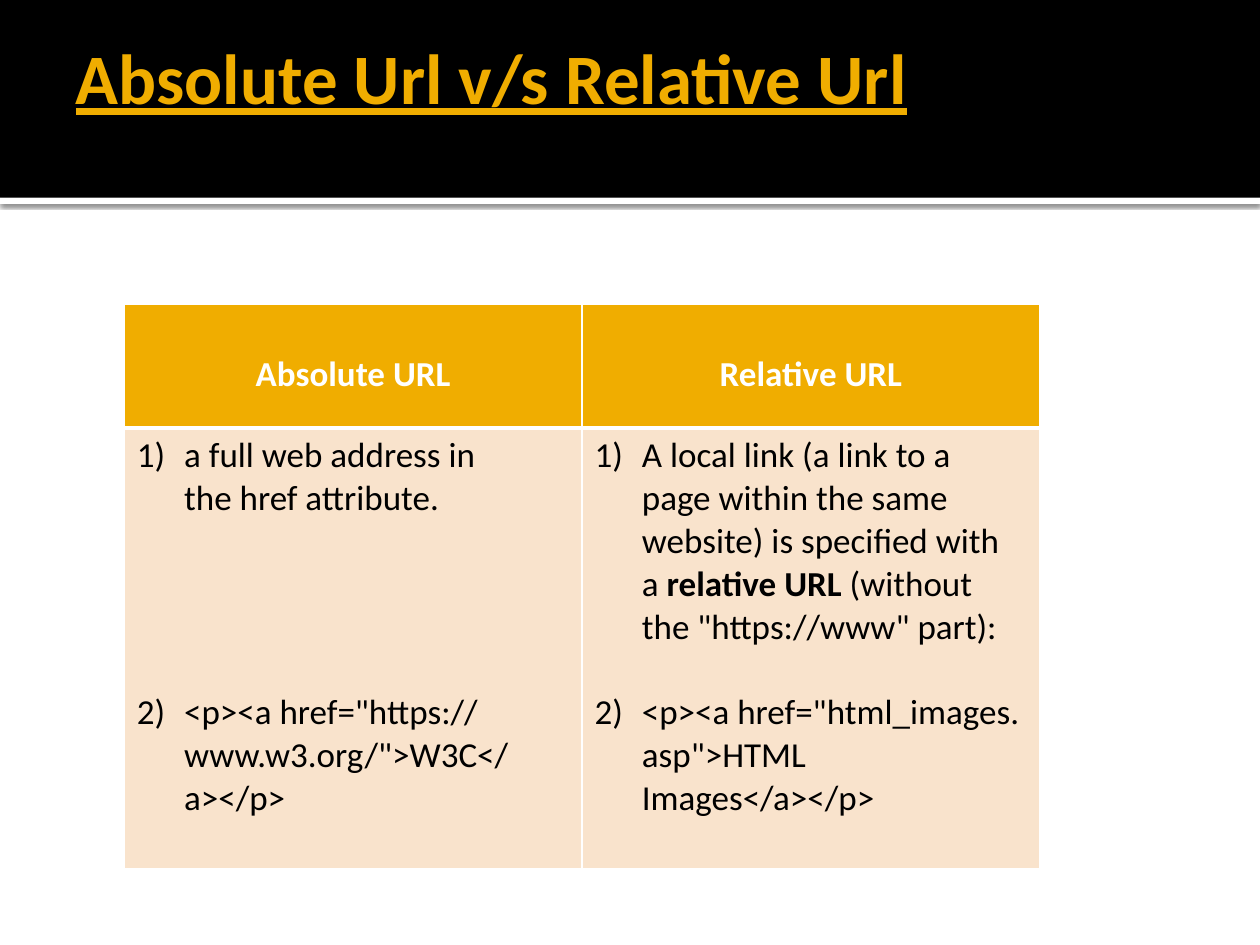
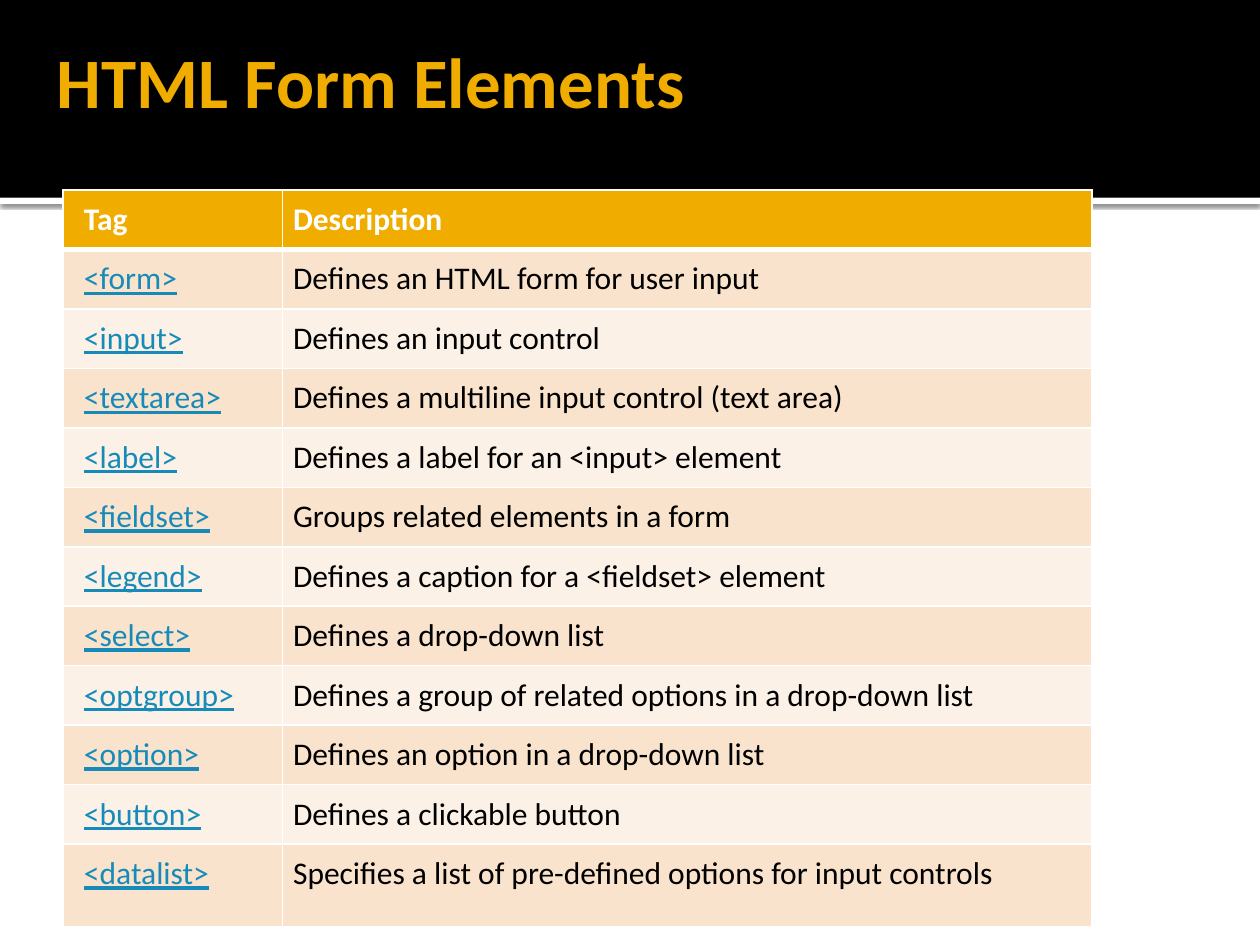
import pptx
import pptx.util
import pptx.dml.color
import pptx.enum.shapes
import pptx.enum.text
from dataclasses import dataclass
from lxml import etree
from pptx.oxml.ns import qn

Pt = pptx.util.Pt
NBSP = chr(160)

URL_TITLE = "Absolute Url v/s Relative Url"
URL_HEADINGS = ["Absolute URL", "Relative URL"]
URL_POINTS = [
    [
        [(f"a full web address in the{NBSP}href{NBSP}attribute.", False)],
        [(f'<p><a{NBSP}href="https://www.w3.org/">W3C</a></p>', False)],
    ],
    [
        [
            ("A local link (a link to a page within the same website) "
             f"is specified with a{NBSP}", False),
            ("relative URL", True),
            (f'{NBSP}(without the "https://www" part):', False),
        ],
        [(f'<p><a{NBSP}href="html_images.asp">HTML Images</a></p>', False)],
    ],
]
URL_POINT_GAPS = [98, 24.5]

FORM_TITLE = "HTML Form Elements"
FORM_HEADINGS = ("Tag", "Description")
FORM_ELEMENTS = [
    ("<form>", "Defines an HTML form for user input"),
    ("<input>", "Defines an input control"),
    ("<textarea>", "Defines a multiline input control (text area)"),
    ("<label>", "Defines a label for an <input> element"),
    ("<fieldset>", "Groups related elements in a form"),
    ("<legend>", "Defines a caption for a <fieldset> element"),
    ("<select>", "Defines a drop-down list"),
    ("<optgroup>", "Defines a group of related options in a drop-down list"),
    ("<option>", "Defines an option in a drop-down list"),
    ("<button>", "Defines a clickable button"),
    ("<datalist>", "Specifies a list of pre-defined options for input controls"),
]


@dataclass(frozen=True)
class Theme:
    font: str = "Calibri"
    gold: str = "F0AD00"
    black: str = "000000"
    white: str = "FFFFFF"
    link: str = "168BBA"
    bands: tuple = ("F9E3CC", "FCF1E7")
    title_size: float = 40.5
    url_size: float = 20
    form_size: float = 18
    rule: float = 1
    heading_rule: float = 3


THEME = Theme()
WIDTH, HEIGHT = 720, 540
BAND_HEIGHT, STRIP_HEIGHT = 113, 3.6


def rgb(value):
    return pptx.dml.color.RGBColor.from_string(value)


def add_text(paragraph, text, *, size, color=THEME.black, bold=False, underline=False):
    run = paragraph.add_run()
    run.text = text
    run.font.name = THEME.font
    run.font.size = Pt(size)
    run.font.color.rgb = rgb(color)
    run.font.bold = bold
    run.font.underline = underline


def add_band(slide, top, height, color):
    band = slide.shapes.add_shape(
        pptx.enum.shapes.MSO_SHAPE.RECTANGLE, 0, Pt(top), Pt(WIDTH), Pt(height))
    band.shadow.inherit = False
    band.fill.solid()
    band.fill.fore_color.rgb = rgb(color)
    band.line.fill.background()
    return band


def add_shadow(band):
    effects = band._element.spPr.find(qn("a:effectLst"))
    shadow = etree.SubElement(
        effects, qn("a:outerShdw"), blurRad=str(Pt(2.5)), dist=str(Pt(0.8)),
        dir="5400000", algn="tl", rotWithShape="0")
    color = etree.SubElement(shadow, qn("a:srgbClr"), val=THEME.black)
    etree.SubElement(color, qn("a:alpha"), val="60000")


def add_titled_slide(deck, title, left, top, width, height, underline=False):
    slide = deck.slides.add_slide(deck.slide_layouts[6])
    add_shadow(add_band(slide, BAND_HEIGHT, STRIP_HEIGHT, THEME.white))
    add_band(slide, 0, BAND_HEIGHT, THEME.black)
    frame = slide.shapes.add_textbox(Pt(left), Pt(top), Pt(width), Pt(height)).text_frame
    frame.word_wrap = True
    frame.vertical_anchor = pptx.enum.text.MSO_ANCHOR.MIDDLE
    frame.margin_right = Pt(3.6)
    add_text(frame.paragraphs[0], title, size=THEME.title_size, color=THEME.gold,
             bold=True, underline=underline)
    return slide


def style_cell(cell, row):
    properties = cell._tc.get_or_add_tcPr()
    for side in "LRTB":
        below_heading = (row, side) in ((0, "B"), (1, "T"))
        weight = THEME.heading_rule if below_heading else THEME.rule
        border = etree.SubElement(properties, qn(f"a:ln{side}"), w=str(Pt(weight)))
        fill = etree.SubElement(border, qn("a:solidFill"))
        etree.SubElement(fill, qn("a:srgbClr"), val=THEME.white)
    cell.fill.solid()
    cell.fill.fore_color.rgb = rgb(THEME.gold if row == 0 else THEME.bands[(row - 1) % 2])


def add_grid(slide, left, top, widths, heights):
    grid = slide.shapes.add_table(
        len(heights), len(widths), Pt(left), Pt(top), Pt(sum(widths)), Pt(sum(heights))).table
    grid.first_row = grid.horz_banding = False
    for column, width in zip(grid.columns, widths):
        column.width = Pt(width)
    for index, (row, height) in enumerate(zip(grid.rows, heights)):
        row.height = Pt(height)
        for cell in row.cells:
            style_cell(cell, index)
    return grid


def number(paragraph, indent=27):
    properties = paragraph._p.get_or_add_pPr()
    properties.set("marL", str(Pt(indent)))
    properties.set("indent", str(Pt(-indent)))
    etree.SubElement(properties, qn("a:buFont"), typeface=THEME.font)
    etree.SubElement(properties, qn("a:buAutoNum"), type="arabicParenR")


def build_url_slide(deck):
    slide = add_titled_slide(deck, URL_TITLE, 36.3, 21.6, 523, 44, underline=True)
    grid = add_grid(slide, 71, 174, [261.6, 261.6], [70.6, 252])
    for column, heading in enumerate(URL_HEADINGS):
        cell = grid.cell(0, column)
        cell.margin_top = Pt(28)
        paragraph = cell.text_frame.paragraphs[0]
        paragraph.alignment = pptx.enum.text.PP_ALIGN.CENTER
        add_text(paragraph, heading, size=THEME.url_size, color=THEME.white, bold=True)

        points = grid.cell(1, column)
        points.margin_right = Pt(9)
        frame = points.text_frame
        for index, point in enumerate(URL_POINTS[column]):
            paragraph = frame.add_paragraph() if index else frame.paragraphs[0]
            if index:
                paragraph.space_before = Pt(URL_POINT_GAPS[column])
            number(paragraph)
            for text, bold in point:
                add_text(paragraph, text, size=THEME.url_size, bold=bold)


def build_form_slide(deck):
    slide = add_titled_slide(deck, FORM_TITLE, 25.4, 20.6, 511, 50)
    heights = [34] * len(FORM_ELEMENTS) + [47]
    grid = add_grid(slide, 36, 108.5, [125.5, 462.5], heights)
    for row, entry in enumerate([FORM_HEADINGS] + FORM_ELEMENTS):
        for column, text in enumerate(entry):
            cell = grid.cell(row, column)
            cell.margin_left = Pt(6 if column else 12)
            cell.margin_right = cell.margin_top = cell.margin_bottom = Pt(6)
            is_tag = row > 0 and column == 0
            color = THEME.white if row == 0 else THEME.link if is_tag else THEME.black
            add_text(cell.text_frame.paragraphs[0], text, size=THEME.form_size,
                     color=color, bold=row == 0, underline=is_tag)


def main():
    deck = pptx.Presentation()
    deck.slide_width, deck.slide_height = Pt(WIDTH), Pt(HEIGHT)
    build_url_slide(deck)
    build_form_slide(deck)
    deck.save("out.pptx")


if __name__ == "__main__":
    main()
